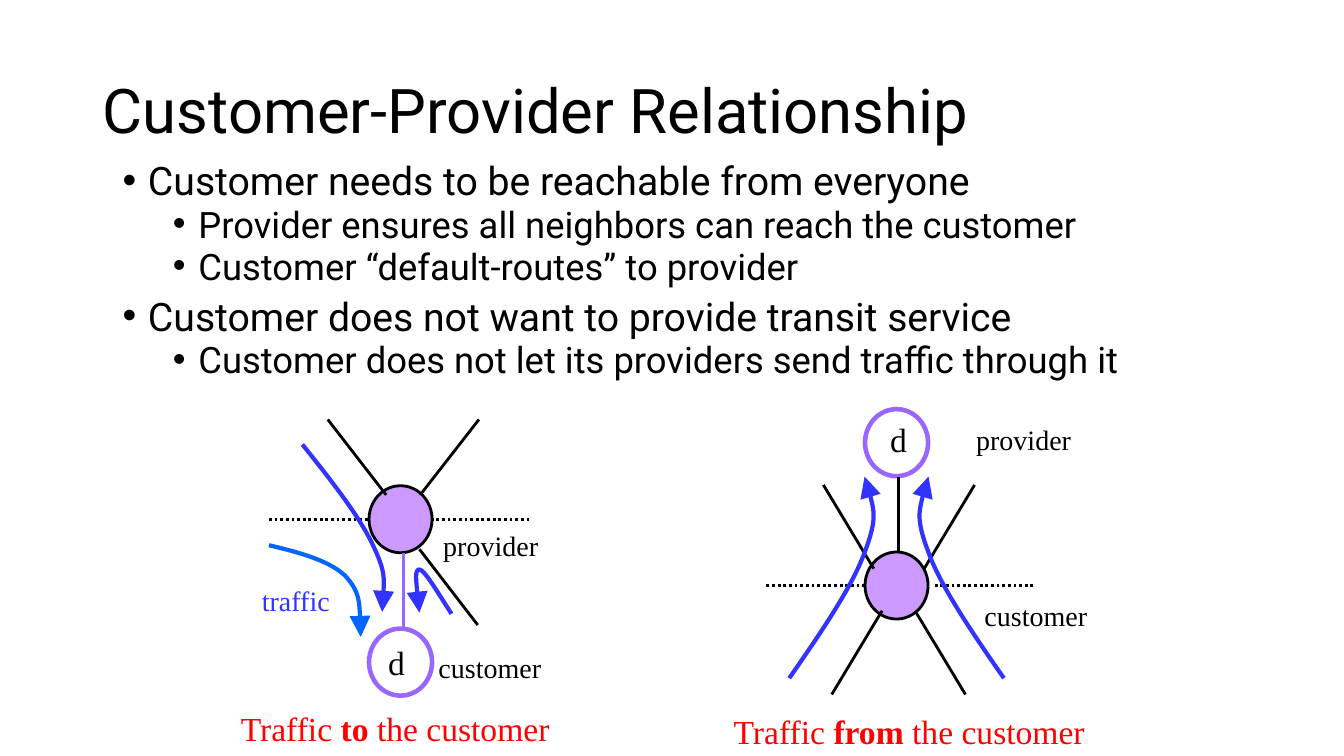
"""Build the customer-provider relationship slide."""
from dataclasses import dataclass

from lxml.etree import SubElement
from pptx import Presentation
from pptx.dml.color import RGBColor
from pptx.enum.dml import MSO_LINE
from pptx.enum.shapes import MSO_CONNECTOR, MSO_SHAPE
from pptx.enum.text import MSO_ANCHOR, MSO_AUTO_SIZE
from pptx.oxml.ns import qn
from pptx.util import Cm, Pt

SANS, SERIF = "Roboto", "Times New Roman"
BLACK, RED, BLUE, SKY = "000000", "FF0000", "3333FF", "0066FF"
PURPLE, LILAC = "9966FF", "CC99FF"


@dataclass
class Node:
    left: float
    top: float
    edge: str
    width: float
    fill: str = ""


@dataclass
class Link:
    start: tuple[float, float]
    end: tuple[float, float]
    color: str = BLACK
    dotted: bool = False


@dataclass
class Flow:
    points: list[tuple[float, float]]
    color: str = BLUE


@dataclass
class Label:
    text: str
    left: float
    top: float
    width: float
    height: float = 1.09
    size: int = 20
    color: str = BLACK
    bold: str = ""
    wrap: bool = False


@dataclass
class Point:
    text: str
    level: int = 0


NODES = [
    Node(21.8, 10.31, PURPLE, 3.25),
    Node(21.8, 13.91, BLACK, 2, LILAC),
    Node(9.3, 15.84, PURPLE, 3.25),
    Node(9.3, 12.24, BLACK, 2, LILAC),
]
LINKS = [
    Link((22.65, 12.01), (22.65, 13.92)),
    Link((10.16, 13.94), (10.16, 15.85), PURPLE),
    Link((21.8, 14.76), (19.26, 14.76), dotted=True),
    Link((26.04, 14.76), (23.5, 14.76), dotted=True),
    Link((20.75, 12.22), (22.02, 14.33)),
    Link((24.56, 12.22), (23.29, 14.33)),
    Link((22.23, 15.39), (20.96, 17.5)),
    Link((23.06, 15.39), (24.33, 17.5)),
    Link((13.34, 13.1), (10.8, 13.1), dotted=True),
    Link((6.78, 13.1), (9.32, 13.1), dotted=True),
    Link((12.07, 10.57), (10.59, 12.47)),
    Link((8.26, 10.57), (9.73, 12.47)),
    Link((12.04, 15.75), (10.57, 13.84)),
]
RISE = [(19.89, 17.09), (20.7, 15.93), (21.49, 14.76), (21.79, 13.92),
        (22.12, 13.06), (21.97, 12.52), (21.79, 12.01)]
FLOWS = [
    Flow(RISE),
    Flow([(45.19 - x, y) for x, y in RISE]),
    Flow([(7.62, 11.2), (8.36, 12.12), (9.07, 13.03), (9.4, 13.74),
          (9.73, 14.43), (9.68, 14.94), (9.63, 15.42)]),
    Flow([(6.78, 13.74), (7.54, 13.92), (8.28, 14.12), (8.69, 14.5),
          (9.07, 14.91), (9.09, 15.47), (9.09, 16.05)], SKY),
    Flow([(11.38, 15.47), (11.02, 14.91), (10.69, 14.35), (10.57, 14.35),
          (10.44, 14.35), (10.54, 15.27), (10.57, 15.44)]),
]
LABELS = [
    Label("d", 22.18, 10.43, 0.94, 1.27, 24),
    Label("d", 9.53, 16.05, 0.94, 1.27, 24),
    Label("provider", 24.35, 10.52, 2.9),
    Label("customer", 24.56, 14.96, 3.1),
    Label("customer", 10.8, 16.27, 3.1),
    Label("provider", 10.92, 13.2, 2.9),
    Label("Traffic to the customer", 5.82, 17.72, 8.33, 1.27, 24, RED, "to"),
    Label("Traffic from the customer", 18.24, 17.78, 9.4, 1.27, 24, RED, "from "),
    Label("traffic", 6.35, 14.58, 2.54, color=BLUE, wrap=True),
]
POINTS = [
    Point("Customer needs to be reachable from everyone"),
    Point("Provider ensures all neighbors can reach the customer", 1),
    Point("Customer “default-routes” to provider", 1),
    Point("Customer does not want to provide transit service"),
    Point("Customer does not let its providers send traffic through it", 1),
]


def paint(target, color: str) -> None:
    target.rgb = RGBColor.from_string(color)


def stroke(line, color: str, width: float) -> None:
    paint(line.color, color)
    line.width = Pt(width)


def add_run(para, text: str, size: int, font: str, color: str = BLACK,
            bold: bool = False) -> None:
    run = para.add_run()
    run.text = text
    run.font.size, run.font.name, run.font.bold = Pt(size), font, bold
    paint(run.font.color, color)


def add_box(slide, left: float, top: float, width: float, height: float,
            wrap: bool = True):
    frame = slide.shapes.add_textbox(Cm(left), Cm(top), Cm(width), Cm(height)).text_frame
    frame.word_wrap = wrap
    return frame


def add_title(slide, text: str) -> None:
    frame = add_box(slide, 2.34, 1.02, 29.21, 3.68)
    frame.vertical_anchor = MSO_ANCHOR.MIDDLE
    para = frame.paragraphs[0]
    para.line_spacing = 0.9
    add_run(para, text, 44, SANS)


def add_points(slide, points: list[Point]) -> None:
    frame = add_box(slide, 2.84, 4.05, 26.16, 5.92)
    for rank, point in enumerate(points):
        para = frame.add_paragraph() if rank else frame.paragraphs[0]
        para.level = point.level
        props = para._p.get_or_add_pPr()
        props.set("marL", str(Cm(0.64 + 1.27 * point.level)))
        props.set("indent", str(Cm(-0.64)))
        SubElement(props, qn("a:buFont"), typeface="Arial")
        SubElement(props, qn("a:buChar"), char="•")
        para.line_spacing = 0.8
        if rank:
            para.space_before = Pt(5 if point.level else 10)
        add_run(para, point.text, 26 if point.level else 28, SANS)


def add_node(slide, node: Node) -> None:
    shape = slide.shapes.add_shape(
        MSO_SHAPE.OVAL, Cm(node.left), Cm(node.top), Cm(1.59), Cm(1.69))
    shape.shadow.inherit = False
    if node.fill:
        shape.fill.solid()
        paint(shape.fill.fore_color, node.fill)
    else:
        shape.fill.background()
    stroke(shape.line, node.edge, node.width)


def add_link(slide, link: Link) -> None:
    ends = [Cm(value) for value in link.start + link.end]
    shape = slide.shapes.add_connector(MSO_CONNECTOR.STRAIGHT, *ends)
    stroke(shape.line, link.color, 2)
    if link.dotted:
        shape.line.dash_style = MSO_LINE.ROUND_DOT
    SubElement(shape._element.spPr, qn("a:effectLst"))


def add_flow(slide, flow: Flow) -> None:
    first, *rest = [(Cm(x), Cm(y)) for x, y in flow.points]
    form = slide.shapes.build_freeform(*first)
    form.add_line_segments(rest, close=False)
    shape = form.convert_to_shape()
    trail = shape._element.find(".//" + qn("a:path"))
    steps = trail.findall(qn("a:lnTo"))
    for k in range(0, len(steps), 3):
        curve = SubElement(trail, qn("a:cubicBezTo"))
        for step in steps[k:k + 3]:
            curve.append(step[0])
            trail.remove(step)
    shape.shadow.inherit = False
    shape.fill.background()
    stroke(shape.line, flow.color, 3)
    SubElement(shape.line._get_or_add_ln(), qn("a:tailEnd"),
               type="triangle", w="lg", len="lg")


def add_label(slide, label: Label) -> None:
    frame = add_box(slide, label.left, label.top, label.width, label.height, label.wrap)
    frame.auto_size = MSO_AUTO_SIZE.SHAPE_TO_FIT_TEXT
    parts = label.text.partition(label.bold) if label.bold else [label.text]
    for part in parts:
        add_run(frame.paragraphs[0], part, label.size, SERIF, label.color,
                part == label.bold)


def main() -> None:
    deck = Presentation()
    deck.slide_width, deck.slide_height = Cm(33.87), Cm(19.05)
    slide = deck.slides.add_slide(deck.slide_layouts[6])
    add_title(slide, "Customer-Provider Relationship")
    add_points(slide, POINTS)
    for draw, items in ((add_node, NODES), (add_link, LINKS),
                        (add_flow, FLOWS), (add_label, LABELS)):
        for item in items:
            draw(slide, item)
    deck.save("out.pptx")


if __name__ == "__main__":
    main()
